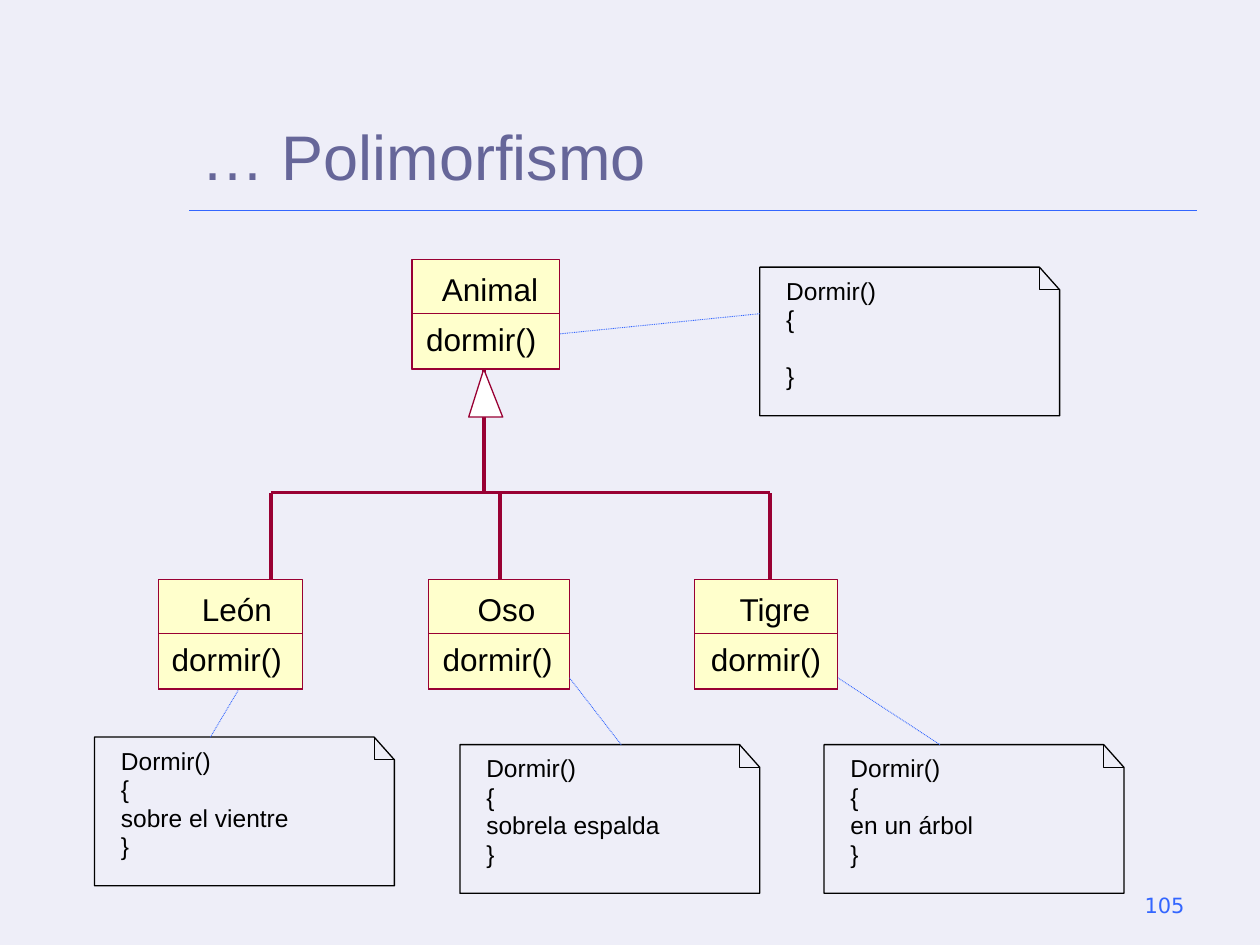
from lxml.etree import SubElement
from pptx import Presentation
from pptx.dml.color import RGBColor
from pptx.enum.dml import MSO_LINE
from pptx.enum.shapes import MSO_CONNECTOR, MSO_SHAPE
from pptx.enum.text import MSO_ANCHOR, PP_ALIGN
from pptx.oxml.ns import qn
from pptx.util import Inches, Pt

BLACK = "000000"
MAROON = "990033"
BLUE = "3366FF"
CREAM = "FFFFCC"


def color(hex_string):
    return RGBColor.from_string(hex_string)


class Diagram:
    font = "Arial"
    note_width, note_height = 2.38, 1.18
    fold_width, fold_height = 0.16, 0.18
    class_height, name_height = 0.87, 0.43

    def __init__(self, slide):
        self.slide = slide

    def text(self, content, left, top, width, height, *, size, fill=BLACK,
             font=None, align=PP_ALIGN.LEFT, anchor=MSO_ANCHOR.TOP,
             margins=(0, 0), wrap=False):
        box = self.slide.shapes.add_textbox(
            Inches(left), Inches(top), Inches(width), Inches(height))
        frame = box.text_frame
        frame.word_wrap = wrap
        frame.vertical_anchor = anchor
        frame.margin_left = frame.margin_right = Inches(margins[0])
        frame.margin_top = frame.margin_bottom = Inches(margins[1])
        paragraph = frame.paragraphs[0]
        paragraph.text = content
        paragraph.alignment = align
        paragraph.font.name = font or self.font
        paragraph.font.size = Pt(size)
        paragraph.font.color.rgb = color(fill)

    def style(self, shape, line, fill=None):
        shape.shadow.inherit = False
        shape.line.color.rgb = color(line)
        shape.line.width = Pt(0)
        if fill:
            shape.fill.solid()
            shape.fill.fore_color.rgb = color(fill)
        else:
            shape.fill.background()

    def rectangle(self, left, top, width, height, fill=None):
        shape = self.slide.shapes.add_shape(
            MSO_SHAPE.RECTANGLE, Inches(left), Inches(top),
            Inches(width), Inches(height))
        self.style(shape, MAROON, fill)

    def outline(self, points, line=BLACK, fill=None, close=True):
        start, *others = [(Inches(x), Inches(y)) for x, y in points]
        builder = self.slide.shapes.build_freeform(*start)
        builder.add_line_segments(others, close=close)
        self.style(builder.convert_to_shape(), line, fill)

    def line(self, start, end, stroke=MAROON, width=0, dash=None):
        connector = self.slide.shapes.add_connector(
            MSO_CONNECTOR.STRAIGHT, *map(Inches, (*start, *end)))
        connector.line.color.rgb = color(stroke)
        connector.line.width = Pt(width)
        if dash:
            connector.line.dash_style = dash
        SubElement(connector._element.spPr, qn("a:effectLst"))

    def note(self, left, top, body):
        """Folded-corner note showing the code of one dormir() method."""
        right, bottom = left + self.note_width, top + self.note_height
        fold_x, fold_y = right - self.fold_width, top + self.fold_height
        self.outline([(left, top), (fold_x, top), (right, fold_y),
                      (right, bottom), (left, bottom)])
        self.outline([(fold_x, top), (fold_x, fold_y), (right, fold_y)],
                     close=False)
        for row, code in enumerate(("Dormir()", "{", body, "}")):
            if code:
                self.text(code, left + 0.21, top + 0.07 + row * 0.225,
                          1.4, 0.23, size=14)

    def class_box(self, name, left, top, width, name_center, method_center):
        divider = top + self.name_height
        self.rectangle(left, top, width, self.class_height, CREAM)
        self.rectangle(left, divider, width,
                       self.class_height - self.name_height)
        for label, center, label_top in (
                (name, name_center, top + 0.08),
                ("dormir()", method_center, divider + 0.05)):
            self.text(label, center - 0.45, label_top, 0.9, 0.3,
                      size=18, align=PP_ALIGN.CENTER, wrap=True)


def main():
    presentation = Presentation()
    presentation.slide_width = Inches(10)
    presentation.slide_height = Inches(7.5)
    slide = presentation.slides.add_slide(presentation.slide_layouts[6])
    slide.background.fill.solid()
    slide.background.fill.fore_color.rgb = color("EEEEF8")
    diagram = Diagram(slide)

    diagram.line((1.5, 1.67), (9.5, 1.67), BLUE, 1)
    diagram.text("… Polimorfismo", 1.5, 0.33, 8, 1.25, size=36,
                 fill="666699", anchor=MSO_ANCHOR.BOTTOM,
                 margins=(0.1, 0.05), wrap=True)
    diagram.text("105", 7.17, 6.83, 2.33, 0.5, size=12, fill=BLUE,
                 font="DejaVu Sans", align=PP_ALIGN.RIGHT,
                 anchor=MSO_ANCHOR.BOTTOM, margins=(0.1, 0.05), wrap=True)

    for left, top, body in ((6.54, 5.91, "en un árbol"),
                            (3.65, 5.91, "sobrela espalda"),
                            (0.75, 5.85, "sobre el vientre"),
                            (6.03, 2.12, "")):
        diagram.note(left, top, body)

    subclass_top = 4.6
    for name, left, top, width, name_center, method_center in (
            ("Animal", 3.27, 2.06, 1.17, 3.89, 3.82),
            ("León", 1.26, subclass_top, 1.14, 1.88, 1.8),
            ("Oso", 3.4, subclass_top, 1.12, 4.02, 3.95),
            ("Tigre", 5.51, subclass_top, 1.14, 6.15, 6.08)):
        diagram.class_box(name, left, top, width, name_center, method_center)

    branch_y = 3.91
    branches = (2.15, 3.97, 6.11)
    diagram.line((3.84, branch_y), (3.84, 2.93))
    diagram.line((branches[0], branch_y), (branches[-1], branch_y))
    diagram.outline([(3.84, 2.93), (3.99, 3.31), (3.72, 3.31)],
                    MAROON, "FFFFFF")
    for x in branches:
        diagram.line((x, subclass_top), (x, branch_y))

    for note_end, class_end in (((6.03, 2.49), (4.44, 2.65)),
                                ((1.67, 5.85), (1.89, 5.48)),
                                ((4.93, 5.91), (4.52, 5.38)),
                                ((7.46, 5.91), (6.65, 5.38))):
        diagram.line(note_end, class_end, BLUE, 0.5, MSO_LINE.ROUND_DOT)

    presentation.save("out.pptx")


if __name__ == "__main__":
    main()
